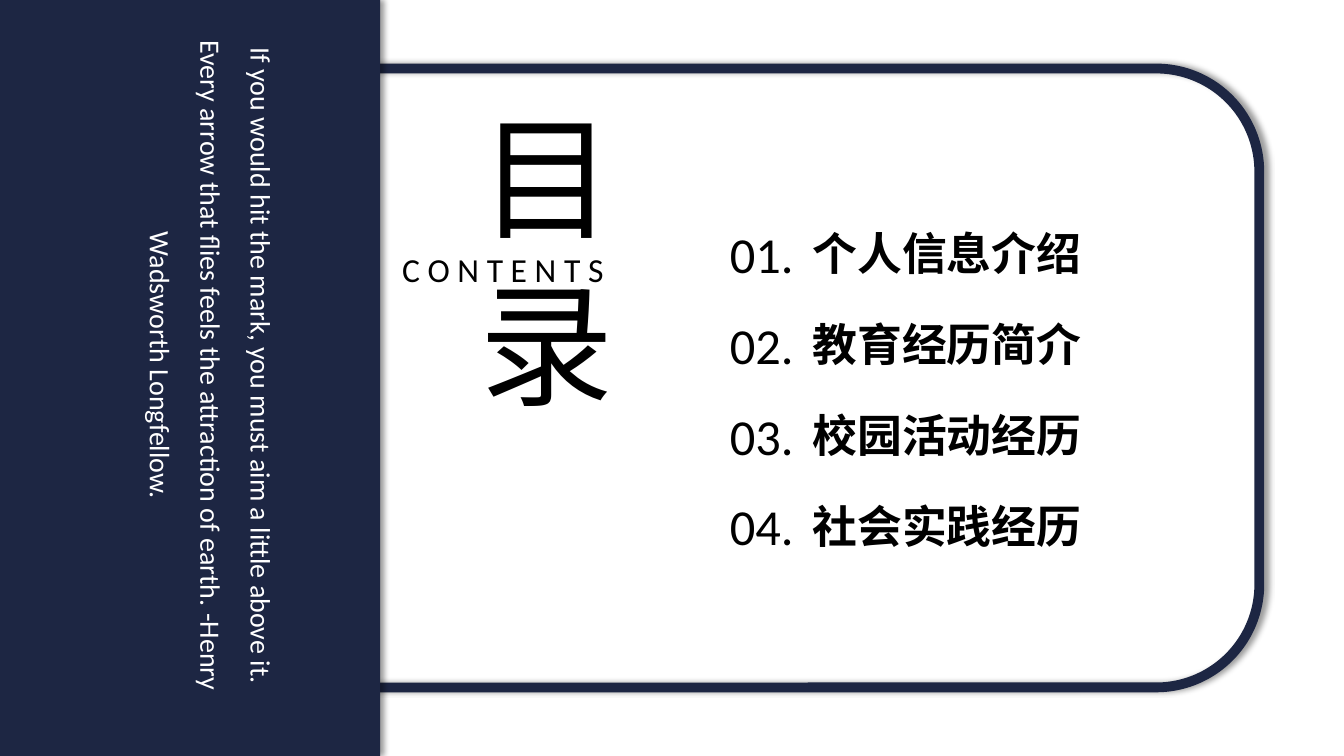
from lxml.etree import SubElement
from pptx import Presentation
from pptx.dml.color import RGBColor
from pptx.enum.shapes import MSO_SHAPE
from pptx.enum.text import MSO_ANCHOR, PP_ALIGN
from pptx.oxml.ns import qn
from pptx.util import Inches, Pt

NAVY = "1D2643"
BLACK = "000000"
WHITE = "FFFFFF"
FONT = "Calibri"
QUOTE = (
    "If you would hit the mark, you must aim a little above it. "
    "Every arrow that flies feels the attraction of earth. "
    "-Henry Wadsworth Longfellow."
)
CHAPTERS = ["个人信息介绍", "教育经历简介", "校园活动经历", "社会实践经历"]


def color(value):
    """Turn a hex string into a colour."""
    return RGBColor.from_string(value)


def add_shadow(shape):
    """Cast a soft shadow to the right of a shape."""
    shape.shadow.inherit = False
    effects = shape._element.spPr.find(qn("a:effectLst"))
    shadow = SubElement(effects, qn("a:outerShdw"), blurRad=str(Pt(4)),
                        dist=str(Pt(3)), dir="0", algn="l", rotWithShape="0")
    tint = SubElement(shadow, qn("a:srgbClr"), val=BLACK)
    SubElement(tint, qn("a:alpha"), val="40000")


def add_panel(slide, kind, box, fill=None, line=None, line_width=0):
    """Add a shadowed shape with an optional fill and outline."""
    shape = slide.shapes.add_shape(kind, *map(Inches, box))
    if fill:
        shape.fill.solid()
        shape.fill.fore_color.rgb = color(fill)
    else:
        shape.fill.background()
    if line:
        shape.line.color.rgb = color(line)
        shape.line.width = Pt(line_width)
    else:
        shape.line.fill.background()
    add_shadow(shape)


def add_text(slide, text, box, size, font_color=BLACK, bold=False, vertical=False,
             anchor=MSO_ANCHOR.TOP, align=PP_ALIGN.LEFT, line_spacing=1.0):
    """Add a one-paragraph text box."""
    shape = slide.shapes.add_textbox(*map(Inches, box))
    frame = shape.text_frame
    frame.word_wrap = True
    frame.vertical_anchor = anchor
    if vertical:
        frame._txBody.bodyPr.set("vert", "eaVert")
    paragraph = frame.paragraphs[0]
    paragraph.alignment = align
    paragraph.line_spacing = line_spacing
    run = paragraph.add_run()
    run.text = text
    run.font.name = FONT
    run.font.size = Pt(size)
    run.font.bold = bold
    run.font.color.rgb = color(font_color)


def add_quote_band(slide, box):
    """Add the navy band with its vertical quotation."""
    left, top, width, height = box
    add_panel(slide, MSO_SHAPE.RECTANGLE, box, fill=NAVY)
    add_text(slide, QUOTE, (left + 0.93, top + 0.3, 2.05, height - 0.61), 20,
             font_color=WHITE, vertical=True, align=PP_ALIGN.CENTER, line_spacing=1.5)


def add_heading(slide, box):
    """Add the vertical title crossed by its English caption."""
    left, top, width, height = box
    add_text(slide, "目 录", (left + 0.51, top, 1.82, height), 96, vertical=True)
    add_text(slide, "C O N T E N T S", (left, top + 1.42, width, 0.5), 24)


def add_chapters(slide, box):
    """Add the numbered chapter list in evenly spaced rows."""
    left, top, width, height = box
    pitch = height / len(CHAPTERS)
    for index, chapter in enumerate(CHAPTERS):
        row_top = top + index * pitch
        add_text(slide, f"{index + 1:02}.", (left, row_top, 0.83, 0.71), 36,
                 anchor=MSO_ANCHOR.MIDDLE)
        add_text(slide, chapter, (left + 0.82, row_top + 0.03, width - 0.82, 0.64), 32,
                 bold=True, anchor=MSO_ANCHOR.MIDDLE)


def main():
    """Build the contents slide and save it."""
    presentation = Presentation()
    presentation.slide_width = Inches(13.33)
    presentation.slide_height = Inches(7.5)
    slide = presentation.slides.add_slide(presentation.slide_layouts[6])
    add_panel(slide, MSO_SHAPE.ROUNDED_RECTANGLE, (2.2, 0.68, 10.29, 6.14),
              line=NAVY, line_width=7)
    add_quote_band(slide, (0, 0, 3.77, 7.5))
    add_chapters(slide, (7.14, 2.16, 3.9, 3.6))
    add_heading(slide, (3.89, 1, 2.84, 3.51))
    presentation.save("out.pptx")


if __name__ == "__main__":
    main()
